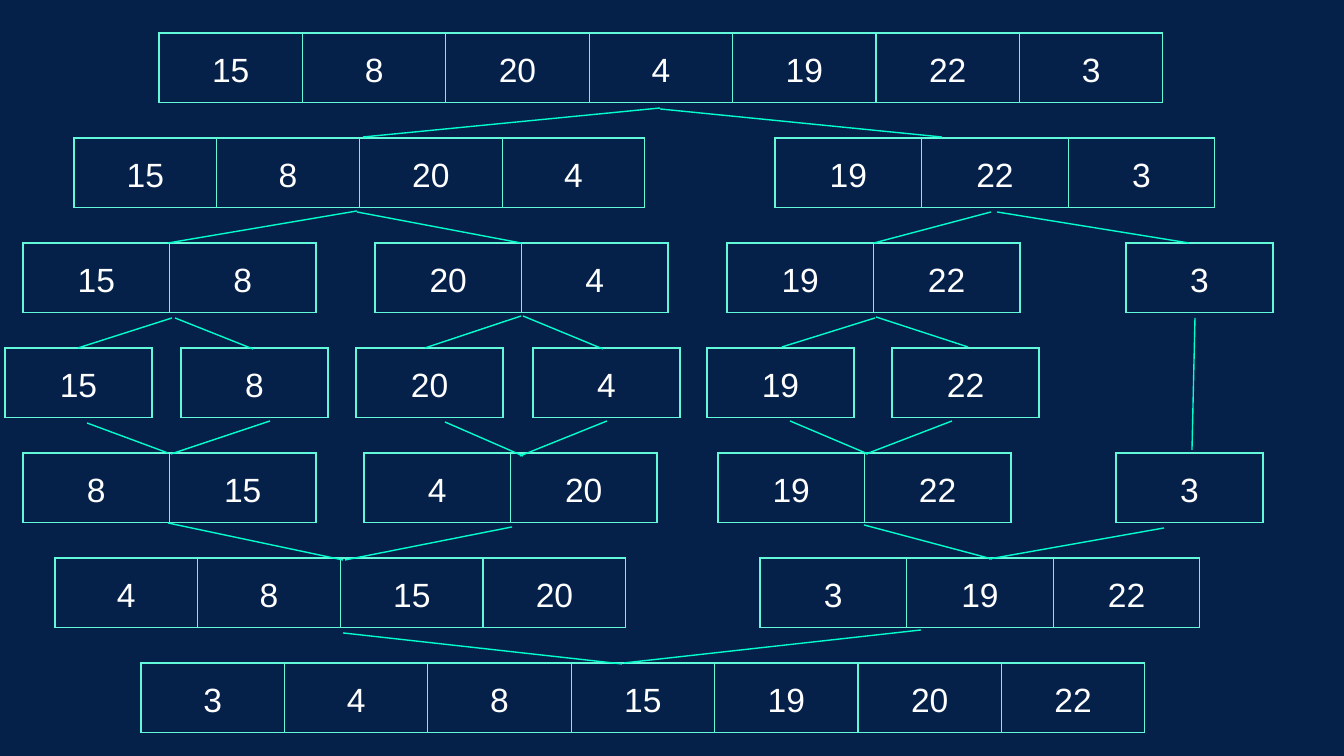
from pptx import Presentation
from pptx.dml.color import RGBColor
from pptx.enum.text import PP_ALIGN
from pptx.oxml import parse_xml
from pptx.oxml.ns import nsdecls, qn
from pptx.util import Emu, Pt
from lxml import etree

CENTER = PP_ALIGN.CENTER
NAVY = RGBColor(0x05, 0x21, 0x4A)
MINT = RGBColor(0x62, 0xF8, 0xDA)
TEAL = RGBColor(0x00, 0xFF, 0xCD)
WHITE = RGBColor(0xFF, 0xFF, 0xFF)
FONT = "Arial"
SCALE = 914400 / 134.4
TOP, STEP, ROW, INSET = 33, 105, 59, 13
WIDTHS = {1: 147, 2: 293, 3: 440, 4: 571, 7: 1004}  # by number of values

# Each array: level, left, values
SPLITS = [
    (0, 159, [15, 8, 20, 4, 19, 22, 3]),
    (1, 74, [15, 8, 20, 4]), (1, 775, [19, 22, 3]),
    (2, 23, [15, 8]), (2, 375, [20, 4]), (2, 727, [19, 22]), (2, 1126, [3]),
    (3, 5, [15]), (3, 181, [8]), (3, 356, [20]),
    (3, 533, [4]), (3, 707, [19]), (3, 892, [22]),
]
MERGES = [
    (4, 23, [8, 15]), (4, 364, [4, 20]), (4, 718, [19, 22]), (4, 1116, [3]),
    (5, 55, [4, 8, 15, 20]), (5, 760, [3, 19, 22]),
    (6, 141, [3, 4, 8, 15, 19, 20, 22]),
]
# Each link: x and y of the start, x and y of the end
SPLIT_LINKS = [
    (660, 108, 363, 137), (660, 109, 942, 137),
    (357, 211, 168, 243), (357, 212, 521, 243),
    (991, 212, 874, 243), (997, 212, 1189, 243),
    (172, 318, 78, 348), (175, 318, 253, 349),
    (521, 316, 425, 348), (523, 316, 603, 349),
    (875, 318, 782, 347), (876, 317, 968, 347),
]
MERGE_LINKS = [
    (87, 423, 168, 453), (171, 454, 270, 421),
    (445, 422, 523, 456), (520, 456, 607, 421),
    (790, 421, 868, 454), (866, 454, 952, 421),
    (1195, 318, 1192, 450),
    (168, 523, 343, 560), (345, 560, 512, 527),
    (864, 525, 992, 559), (989, 559, 1164, 528),
    (343, 633, 622, 664), (624, 663, 921, 630),
]


def px(n):
    return Emu(round(n * SCALE))


def add_border(cell):
    """Outline all four sides; the lines must come before the fill."""
    props = cell._tc.get_or_add_tcPr()
    for i, side in enumerate(("lnL", "lnR", "lnT", "lnB")):
        props.insert(i, parse_xml(
            f'<a:{side} {nsdecls("a")} w="{Pt(0.75)}"><a:solidFill>'
            f'<a:srgbClr val="{MINT}"/></a:solidFill></a:{side}>'))


def fill_cell(cell, value):
    cell.fill.background()
    cell.margin_left = cell.margin_right = px(INSET)
    cell.margin_top = cell.margin_bottom = px(INSET)
    para = cell.text_frame.paragraphs[0]
    para.text = str(value)
    para.alignment = CENTER
    para.line_spacing = 1.15
    font = para.runs[0].font
    font.name, font.size, font.bold = FONT, Pt(18), False
    font.color.rgb = WHITE
    add_border(cell)


def add_array(slide, level, left, values):
    count = len(values)
    width = WIDTHS[count]
    frame = slide.shapes.add_table(
        1, count, px(left), px(TOP + level * STEP), px(width), px(ROW))
    table = frame.table
    table.first_row = table.horz_banding = False
    for i, value in enumerate(values):
        table.columns[i].width = px(width / count)
        fill_cell(table.cell(0, i), value)


def add_link(slide, *ends):
    line = slide.shapes.add_connector(1, *map(px, ends))
    line.line.color.rgb = TEAL
    line.line.width = Pt(0.75)
    etree.SubElement(line._element.spPr, qn("a:effectLst"))


def main():
    prs = Presentation()
    prs.slide_width, prs.slide_height = px(1344), px(756)
    slide = prs.slides.add_slide(prs.slide_layouts[6])
    back = slide.background.fill
    back.solid()
    back.fore_color.rgb = NAVY
    for arrays, links in ((SPLITS, SPLIT_LINKS), (MERGES, MERGE_LINKS)):
        for array in arrays:
            add_array(slide, *array)
        for link in links:
            add_link(slide, *link)
    prs.save("out.pptx")


if __name__ == "__main__":
    main()
